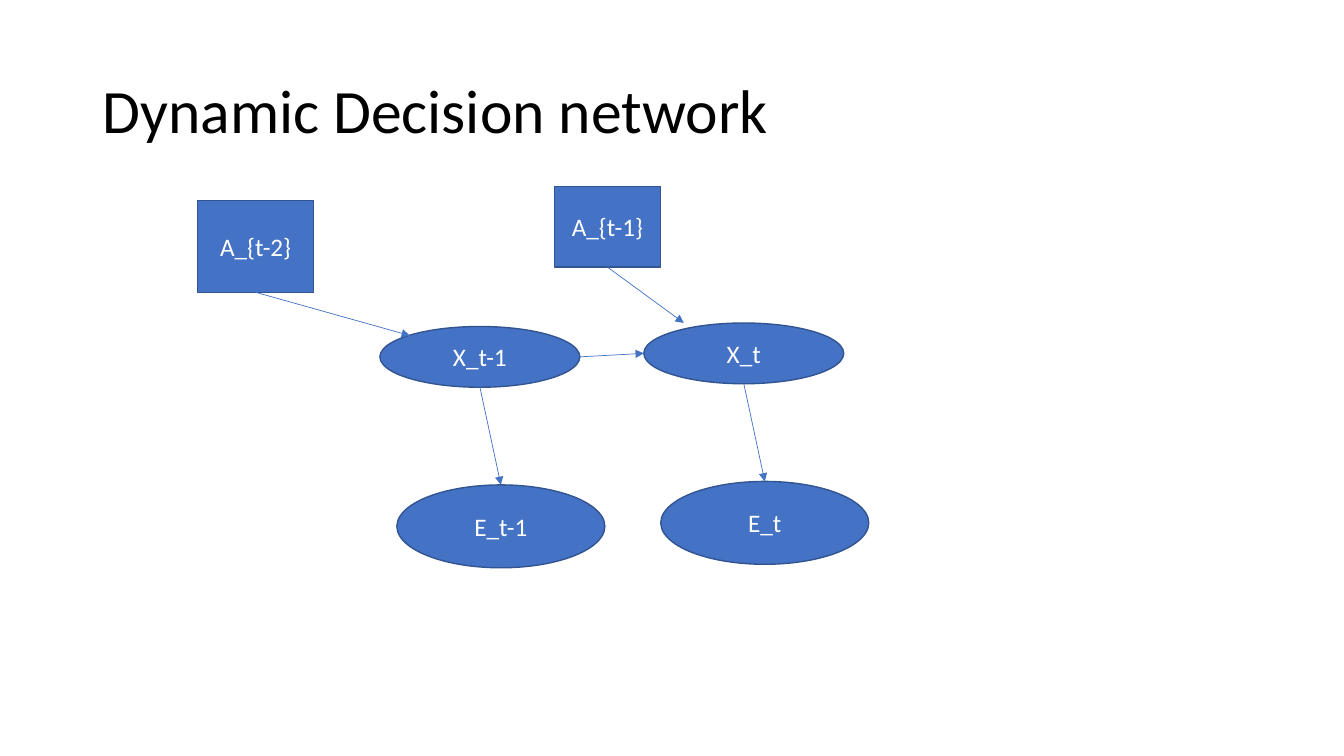
"""Build a slide that shows a dynamic decision network."""
from dataclasses import dataclass

from lxml import etree
from pptx import Presentation
from pptx.dml.color import RGBColor
from pptx.enum.shapes import MSO_CONNECTOR, MSO_SHAPE
from pptx.enum.text import MSO_ANCHOR, MSO_AUTO_SIZE, PP_ALIGN
from pptx.oxml.ns import qn
from pptx.shapes.autoshape import Shape
from pptx.slide import Slide
from pptx.text.text import TextFrame
from pptx.util import Pt

RECT = MSO_SHAPE.RECTANGLE
OVAL = MSO_SHAPE.OVAL
LINE = MSO_CONNECTOR.STRAIGHT
MIDDLE = MSO_ANCHOR.MIDDLE
FIXED = MSO_AUTO_SIZE.NONE
LEFT = PP_ALIGN.LEFT
CENTER = PP_ALIGN.CENTER

Spot = tuple[float, float]
TOP: Spot = (0.5, 0)
FOOT: Spot = (0.5, 1)
WEST: Spot = (0, 0.5)
EAST: Spot = (1, 0.5)


@dataclass(frozen=True)
class Theme:
    font: str = "Calibri"
    head: float = 44
    body: float = 18
    ink: RGBColor = RGBColor(0x00, 0x00, 0x00)
    paper: RGBColor = RGBColor(0xFF, 0xFF, 0xFF)
    fill: RGBColor = RGBColor(0x44, 0x72, 0xC4)
    edge: RGBColor = RGBColor(0x32, 0x54, 0x91)
    border: float = 1
    arrow: float = 0.5


@dataclass(frozen=True)
class Node:
    text: str
    form: MSO_SHAPE
    left: float
    top: float
    width: float
    height: float

    def point(self, spot: Spot) -> Spot:
        return self.left + spot[0] * self.width, self.top + spot[1] * self.height


@dataclass(frozen=True)
class Link:
    start: str
    exit: Spot
    end: str
    entry: Spot


THEME = Theme()
STEP = (188.5, -2.5)
STATE = (271.4, 233.2, 142.8, 43.4)
PROOF = (283.5, 346.4, 148.6, 59.2)


def shift(box: tuple[float, ...]) -> tuple[float, ...]:
    return box[0] + STEP[0], box[1] + STEP[1], *box[2:]


NODES = (
    Node("A_{t-2}", RECT, 141.2, 143.2, 82.8, 65.6),
    Node("A_{t-1}", RECT, 396, 133.2, 75.8, 57.6),
    Node("X_t-1", OVAL, *STATE),
    Node("X_t", OVAL, *shift(STATE)),
    Node("E_t-1", OVAL, *PROOF),
    Node("E_t", OVAL, *shift(PROOF)),
)

LINKS = (
    Link("A_{t-2}", FOOT, "X_t-1", (0.15, 0.15)),
    Link("A_{t-1}", FOOT, "X_t", (0.2, 0)),
    Link("X_t-1", EAST, "X_t", WEST),
    Link("X_t-1", FOOT, "E_t-1", TOP),
    Link("X_t", FOOT, "E_t", TOP),
)


def write(frame: TextFrame, text: str, size: float, color: RGBColor, align: PP_ALIGN) -> None:
    frame.text = text
    frame.word_wrap = True
    frame.auto_size = FIXED
    frame.vertical_anchor = MIDDLE
    para = frame.paragraphs[0]
    para.alignment = align
    font = para.runs[0].font
    font.name, font.size, font.color.rgb = THEME.font, Pt(size), color


def add_title(slide: Slide, text: str) -> None:
    title = slide.shapes.title
    title.left, title.top = Pt(66), Pt(28.75)
    title.width, title.height = Pt(828), Pt(104.4)
    write(title.text_frame, text, THEME.head, THEME.ink, LEFT)
    title.text_frame.paragraphs[0].line_spacing = 0.9


def add_node(slide: Slide, node: Node) -> Shape:
    shape = slide.shapes.add_shape(
        node.form, Pt(node.left), Pt(node.top), Pt(node.width), Pt(node.height))
    shape.shadow.inherit = False
    shape.fill.solid()
    shape.fill.fore_color.rgb = THEME.fill
    shape.line.color.rgb = THEME.edge
    shape.line.width = Pt(THEME.border)
    write(shape.text_frame, node.text, THEME.body, THEME.paper, CENTER)
    return shape


def add_link(slide: Slide, link: Link, nodes: dict[str, Node], shapes: dict[str, Shape]) -> None:
    start, end = nodes[link.start], nodes[link.end]
    ends = start.point(link.exit) + end.point(link.entry)
    arrow = slide.shapes.add_connector(LINE, *(Pt(value) for value in ends))
    if start.form == RECT:
        arrow.begin_connect(shapes[link.start], 2)
    if link.entry == TOP:
        arrow.end_connect(shapes[link.end], 0)
    arrow.line.color.rgb = THEME.fill
    arrow.line.width = Pt(THEME.arrow)
    props = arrow.element.spPr
    etree.SubElement(props.find(qn("a:ln")), qn("a:tailEnd"), type="triangle")
    etree.SubElement(props, qn("a:effectLst"))


def main() -> None:
    deck = Presentation()
    deck.slide_width, deck.slide_height = Pt(960), Pt(540)
    slide = deck.slides.add_slide(deck.slide_layouts.get_by_name("Title Only"))
    add_title(slide, "Dynamic Decision network")
    nodes = {node.text: node for node in NODES}
    shapes = {node.text: add_node(slide, node) for node in NODES}
    for link in LINKS:
        add_link(slide, link, nodes, shapes)
    deck.save("out.pptx")


if __name__ == "__main__":
    main()
